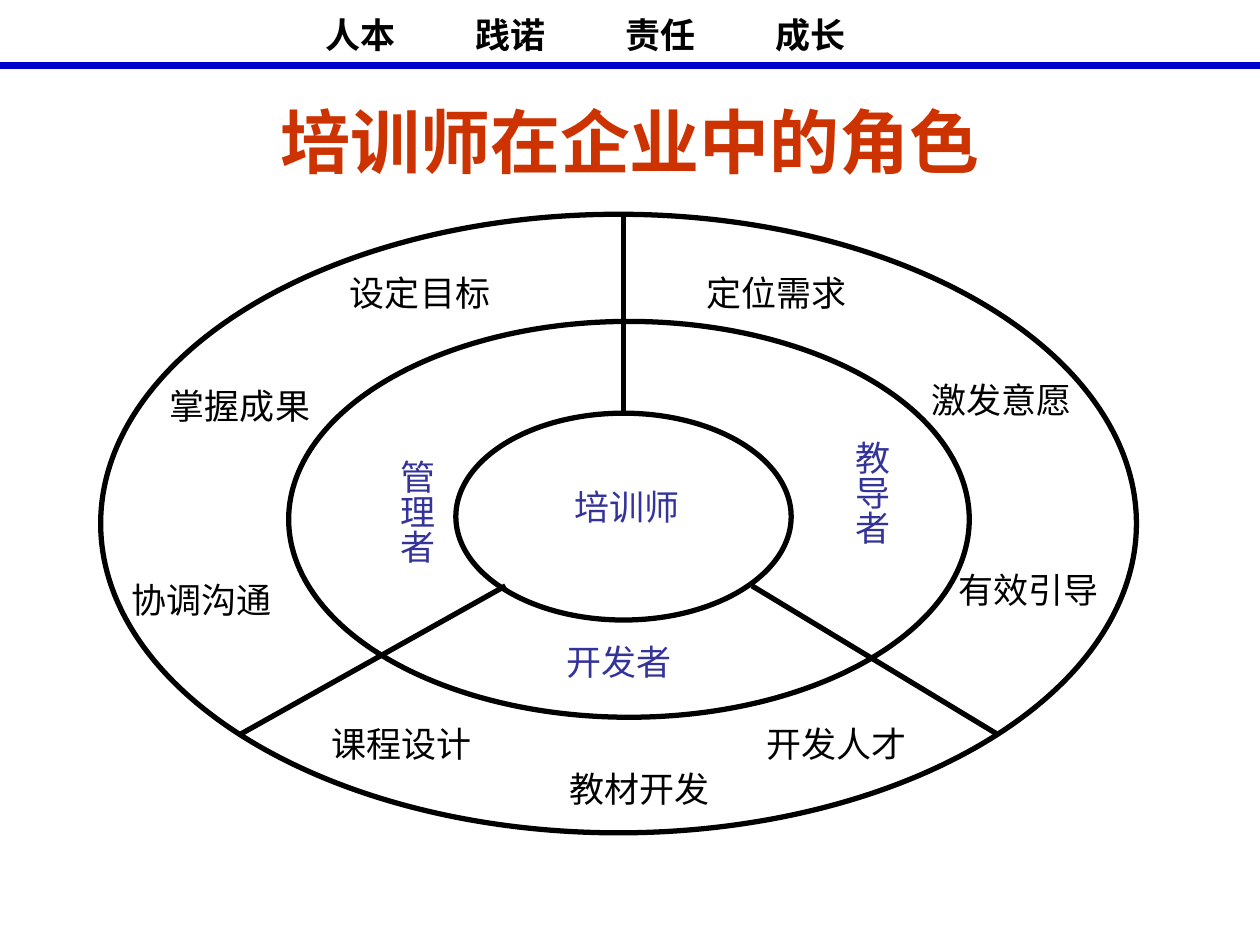
from lxml.etree import SubElement
from pptx import Presentation
from pptx.dml.color import RGBColor
from pptx.enum.shapes import MSO_CONNECTOR, MSO_SHAPE
from pptx.enum.text import MSO_ANCHOR, PP_ALIGN
from pptx.oxml.ns import qn
from pptx.util import Cm, Pt

LINE = MSO_CONNECTOR.STRAIGHT
OVAL = MSO_SHAPE.OVAL
MIDDLE = MSO_ANCHOR.MIDDLE
CENTER, LEFT = PP_ALIGN.CENTER, PP_ALIGN.LEFT
BLACK, BLUE, RED, INDIGO = "000000", "0000CC", "CC3300", "333399"
SANS, SERIF = "Noto Sans CJK SC", "Times New Roman"


def paint(code):
    return RGBColor.from_string(code)


class Page:
    """Draws styled text, rings and lines on one slide."""

    def __init__(self, slide):
        self.shapes = slide.shapes

    def text(self, words, x, y, w, h=1.12, size=20, color=BLACK, face=SERIF,
             bold=False, tabs=(), tall=False):
        frame = self.shapes.add_textbox(Cm(x), Cm(y), Cm(w), Cm(h)).text_frame
        frame.word_wrap = True
        frame.vertical_anchor = MIDDLE
        if tall:
            frame.margin_left = frame.margin_right = Cm(0.13)
            frame.margin_top = frame.margin_bottom = Cm(0.25)
            frame._txBody.bodyPr.set("vert", "eaVert")
        para = frame.paragraphs[0]
        para.text = words
        para.alignment = LEFT if tabs else CENTER
        if tabs:
            stops = SubElement(para._p.get_or_add_pPr(), qn("a:tabLst"))
            for stop in tabs:
                SubElement(stops, qn("a:tab"), pos=str(Cm(stop)), algn="l")
        font = para.font
        font.size, font.bold, font.name = Pt(size), bold, face
        font.color.rgb = paint(color)
        SubElement(font._rPr, qn("a:ea"), typeface=SANS)

    def label(self, words, mid, y, color=BLACK, w=5.2):
        self.text(words, mid - w / 2, y, w, color=color)

    def ring(self, x, y, w, h):
        oval = self.shapes.add_shape(OVAL, Cm(x), Cm(y), Cm(w), Cm(h))
        oval.shadow.inherit = False
        oval.fill.background()
        oval.line.color.rgb = paint(BLACK)
        oval.line.width = Pt(3)

    def rule(self, x1, y1, x2, y2, color=BLACK, width=3):
        rule = self.shapes.add_connector(LINE, Cm(x1), Cm(y1), Cm(x2), Cm(y2))
        rule.line.color.rgb = paint(color)
        rule.line.width = Pt(width)
        SubElement(rule._element.spPr, qn("a:effectLst"))


RINGS = [(9.19, 8.33, 6.76, 4.17), (2.03, 4.32, 20.88, 12.47),
         (5.82, 6.48, 13.72, 7.98)]
SPOKES = [(12.57, 8.31, 12.57, 4.32), (15.16, 11.81, 20.12, 14.81),
          (10.19, 11.81, 4.83, 14.81)]
ROLES = [("培训师", 12.65, 9.65), ("开发者", 12.48, 12.78)]
SIDES = [("教导者", 16.89, 8.64, 3.94), ("管理者", 7.72, 9.02, 3.48)]
TASKS = [("定位需求", 15.66, 5.33), ("激发意愿", 20.2, 7.49),
         ("有效引导", 20.73, 11.33), ("课程设计", 8.1, 14.43),
         ("开发人才", 16.87, 14.43), ("教材开发", 12.9, 15.34),
         ("设定目标", 8.47, 5.33), ("掌握成果", 4.84, 7.62),
         ("协调沟通", 4.06, 11.53)]
VALUES = ["人本", "践诺", "责任", "成长"]


def main():
    deck = Presentation()
    deck.slide_width, deck.slide_height = Cm(25.4), Cm(19.05)
    page = Page(deck.slides.add_slide(deck.slide_layouts[6]))

    stops = [5.02 + 3.02 * i for i in range(len(VALUES))]
    page.text("".join("\t" + word for word in VALUES), 1.3, 0.13, 22.8,
              face=SANS, bold=True, tabs=stops)
    page.rule(0, 1.32, 25.4, 1.32, BLUE, 4.5)
    page.text("培训师在企业中的角色", 1.2, 1.93, 23, 1.8, 40, RED, "Arial", True)

    for ring in RINGS:
        page.ring(*ring)
    for spoke in SPOKES:
        page.rule(*spoke)
    for role in ROLES:
        page.label(*role, color=INDIGO)
    for words, x, y, h in SIDES:
        page.text(words, x, y, 1.35, h, color=INDIGO, tall=True)
    for task in TASKS:
        page.label(*task)
    deck.save("out.pptx")


if __name__ == "__main__":
    main()
